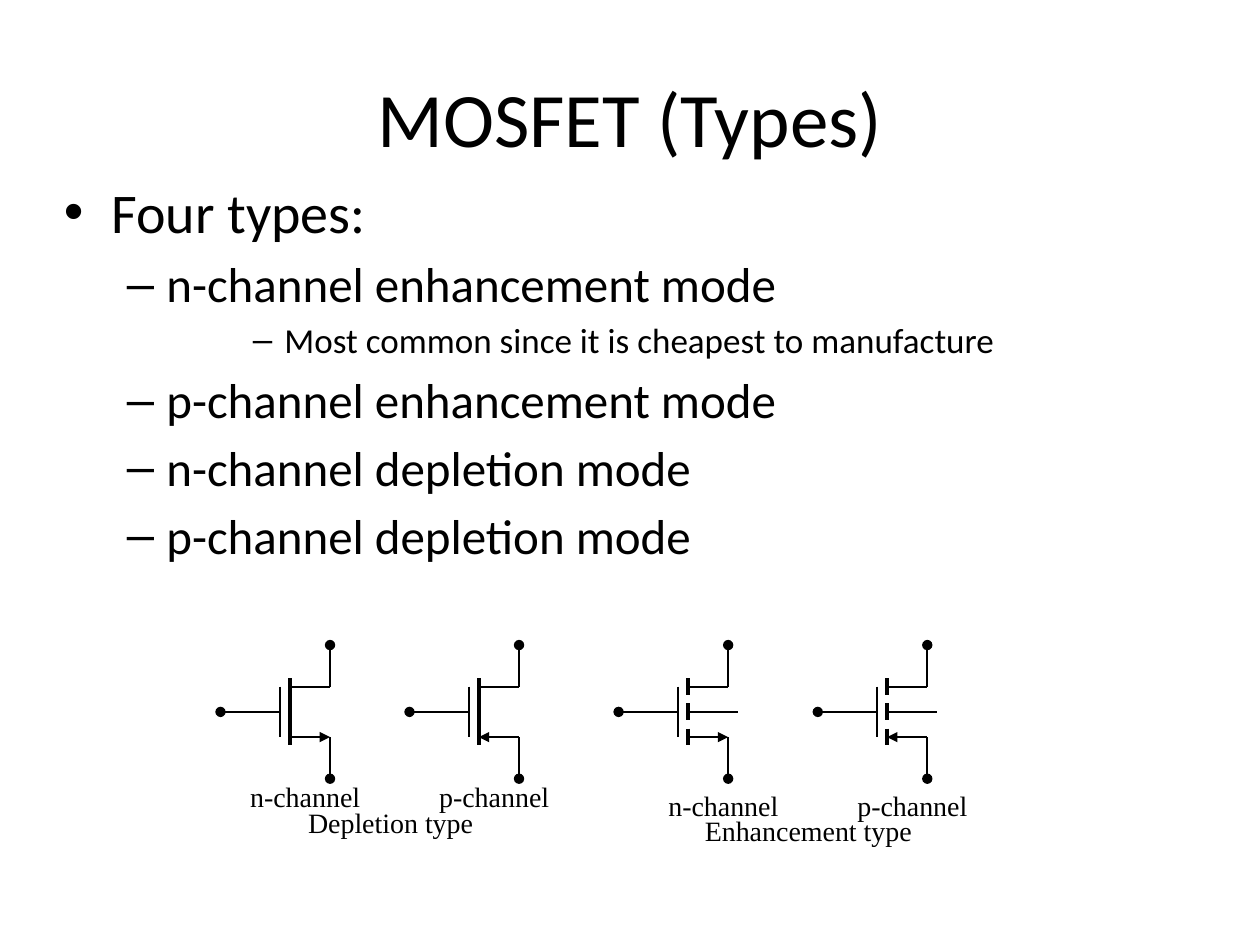
from lxml import etree
from pptx import Presentation
from pptx.dml.color import RGBColor
from pptx.enum.shapes import MSO_CONNECTOR
from pptx.enum.text import MSO_ANCHOR, MSO_AUTO_SIZE, PP_ALIGN
from pptx.oxml.ns import qn
from pptx.util import Pt

BLACK = RGBColor(0, 0, 0)
LINE = MSO_CONNECTOR.STRAIGHT
MIDDLE = MSO_ANCHOR.MIDDLE
CENTER = PP_ALIGN.CENTER
FIT = MSO_AUTO_SIZE.SHAPE_TO_FIT_TEXT


def write(para, text, size, face):
    run = para.add_run()
    run.text = text
    run.font.size = Pt(size)
    run.font.name = face
    run.font.color.rgb = BLACK


def draw(group, x1, y1, x2, y2, width=1, head=None, tail=None):
    wire = group.shapes.add_connector(LINE, Pt(x1), Pt(y1), Pt(x2), Pt(y2))
    wire.line.color.rgb = BLACK
    wire.line.width = Pt(width)
    props = wire.line._get_or_add_ln()
    for tag, kind in (("a:headEnd", head), ("a:tailEnd", tail)):
        if kind:
            etree.SubElement(props, qn(tag), type=kind)
    etree.SubElement(wire._element.spPr, qn("a:effectLst"))


prs = Presentation()
prs.slide_width = Pt(720)
prs.slide_height = Pt(540)
slide = prs.slides.add_slide(prs.slide_layouts[5])

title = slide.shapes.title
title.left, title.top, title.width, title.height = Pt(36), Pt(21.6), Pt(648), Pt(90)
title.text_frame.vertical_anchor = MIDDLE
para = title.text_frame.paragraphs[0]
para.alignment = CENTER
write(para, "MOSFET (Types)", 44, "Calibri")

STYLES = {0: (32, 27, 27, "•"), 1: (28, 58.5, 22.5, "–"), 3: (20, 126, 18, "–")}
ITEMS = [
    (0, "Four types:"),
    (1, "n-channel enhancement mode"),
    (3, "Most common since it is cheapest to manufacture"),
    (1, "p-channel enhancement mode"),
    (1, "n-channel depletion mode"),
    (1, "p-channel depletion mode"),
]
body = slide.shapes.add_textbox(Pt(29.5), Pt(98), Pt(648), Pt(262)).text_frame
body.word_wrap = True
for i, (level, text) in enumerate(ITEMS):
    size, left, hang, mark = STYLES[level]
    para = body.add_paragraph() if i else body.paragraphs[0]
    para.level = level
    para.space_before = Pt(size * 0.18 if i else 0)
    props = para._p.get_or_add_pPr()
    props.set("marL", str(Pt(left)))
    props.set("indent", str(-Pt(hang)))
    etree.SubElement(props, qn("a:buFont"), typeface="Arial")
    etree.SubElement(props, qn("a:buChar"), char=mark)
    write(para, text, size, "Calibri")

MID = 406.8
STEP = 14.4
REACH = 38.2
HALF = 19.1
DASH = 4.8
FETS = [
    (126, "n", False),
    (234, "p", False),
    (353.5, "n", True),
    (467.3, "p", True),
]
group = slide.shapes.add_group_shape()
for x, kind, split in FETS:
    gate, bar, pin = x + 34, x + 39.6, x + 62.6
    top, low = MID - STEP, MID + STEP
    draw(group, x, MID, gate, MID, head="oval")
    draw(group, gate, top, gate, low)
    draw(group, bar, top, pin, top)
    draw(group, pin, top, pin, MID - REACH, tail="oval")
    end = "tail" if kind == "n" else "head"
    draw(group, bar, low, pin, low, **{end: "triangle"})
    draw(group, pin, low, pin, MID + REACH, tail="oval")
    if split:
        draw(group, bar, MID, x + 68.4, MID)
        for y in (top, MID, low):
            draw(group, bar, y - DASH, bar, y + DASH, 2)
    else:
        draw(group, bar, MID - HALF, bar, MID + HALF, 2)

LABELS = [
    ("n-channel", 135.4, 442, 78),
    ("p-channel", 243.4, 442, 78),
    ("Depletion type", 168.5, 456.4, 109.4),
    ("n-channel", 374.4, 447, 78),
    ("p-channel", 482.4, 447, 78),
    ("Enhancement type", 395.3, 461.4, 133.2),
]
for text, x, y, width in LABELS:
    frame = group.shapes.add_textbox(Pt(x), Pt(y), Pt(width), Pt(26.6)).text_frame
    frame.word_wrap = False
    frame.auto_size = FIT
    frame.vertical_anchor = MIDDLE
    para = frame.paragraphs[0]
    para.alignment = CENTER
    write(para, text, 16, "Times New Roman")

prs.save("out.pptx")
